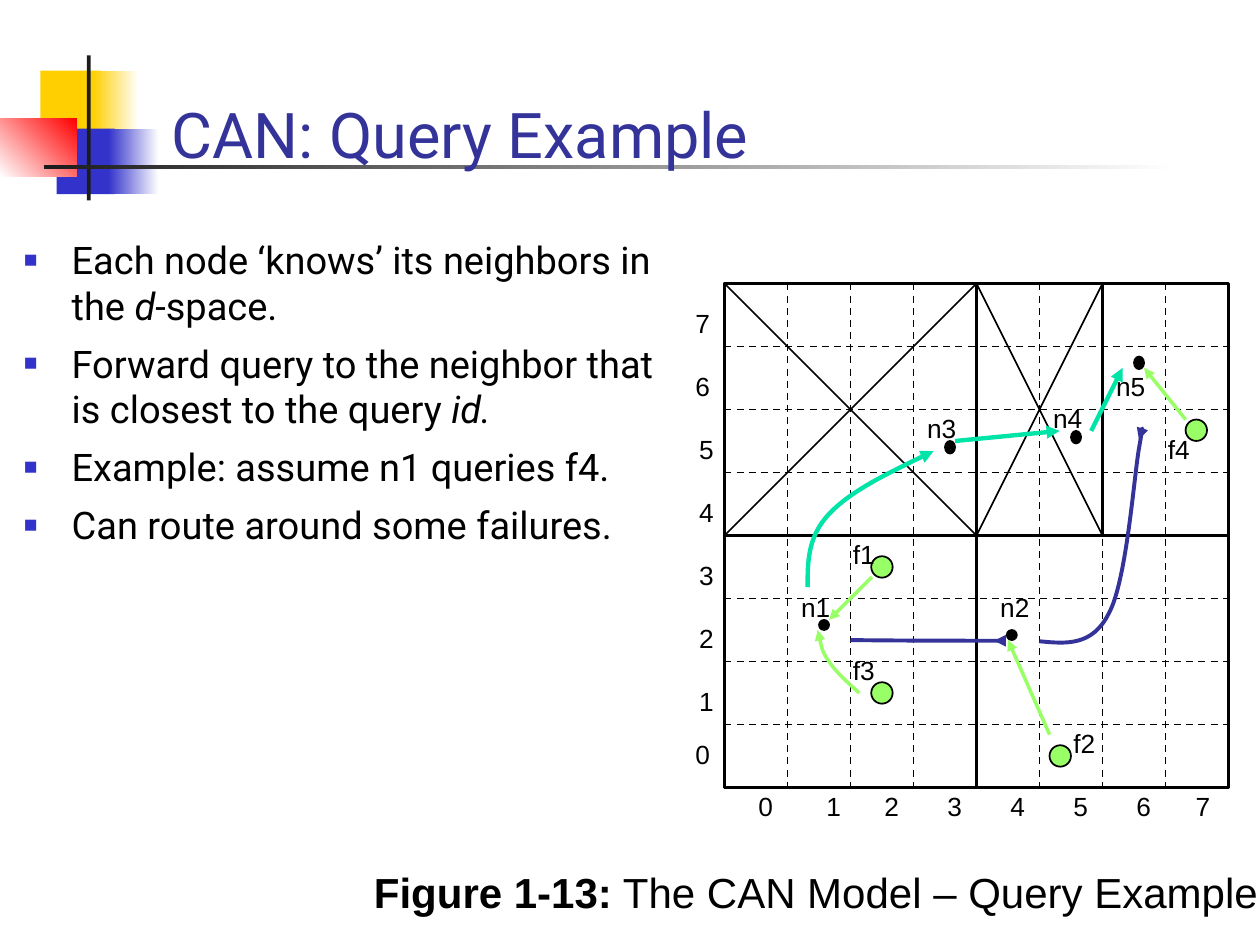
import pptx
import pptx.util
import pptx.dml.color
import pptx.enum.dml
import pptx.enum.shapes
import pptx.enum.text
import pptx.oxml.ns
import lxml.etree

COLORS = {"black": "000000", "ink": "1C1C1C", "white": "FFFFFF", "yellow": "FFCF01",
          "blue": "3333CC", "red": "FF0000", "navy": "333399", "lime": "99FF66",
          "teal": "00E4A8"}
SHAPES = pptx.enum.shapes.MSO_SHAPE
qn = pptx.oxml.ns.qn
N = 8  # cells along each side of the d-space


def inch(value):
    return pptx.util.Inches(value)


def rgb(name):
    return pptx.dml.color.RGBColor.from_string(COLORS[name])


def sub(parent, tag, **attrs):
    return lxml.etree.SubElement(parent, qn(tag), attrs)


def add_text(p, text, size=15, font="Arial", color="black", bold=False, italic=False):
    r = p.add_run()
    r.text = text
    r.font.size, r.font.name = pptx.util.Pt(size), font
    r.font.bold, r.font.italic = bold, italic
    r.font.color.rgb = rgb(color)


def add_box(s, x, y, w, h, wrap=False):
    tf = s.shapes.add_textbox(inch(x), inch(y), inch(w), inch(h)).text_frame
    tf.word_wrap = wrap
    if not wrap:
        tf.auto_size = pptx.enum.text.MSO_AUTO_SIZE.SHAPE_TO_FIT_TEXT
    return tf


def style_line(sp, color="black", width=1.0, dash=False, arrow=False):
    sp.line.color.rgb = rgb(color)
    sp.line.width = pptx.util.Pt(width)
    if dash:
        sp.line.dash_style = pptx.enum.dml.MSO_LINE.DASH
    if arrow:
        sub(sp.element.spPr.find(qn("a:ln")), "a:tailEnd", type="triangle")


def add_shape(s, kind, x, y, w, h, fill=None, line=None):
    """fill is a colour, a (from, to, angle) gradient or None; line is a width."""
    sp = s.shapes.add_shape(kind, inch(x), inch(y), inch(w), inch(h))
    sp.shadow.inherit = False
    if isinstance(fill, tuple):
        sp.fill.gradient()
        sp.fill.gradient_angle = fill[2]
        for stop, name in zip(sp.fill.gradient_stops, fill):
            stop.color.rgb = rgb(name)
    elif fill:
        sp.fill.solid()
        sp.fill.fore_color.rgb = rgb(fill)
    else:
        sp.fill.background()
    if line:
        style_line(sp, width=line)
    else:
        sp.line.fill.background()
    return sp


def add_line(s, start, end, rects=(), **fmt):
    """Draw a connector, joined to any of rects whose side middle it meets."""
    ends = [tuple(inch(v) for v in point) for point in (start, end)]
    cx = s.shapes.add_connector(pptx.enum.shapes.MSO_CONNECTOR.STRAIGHT, *ends[0], *ends[1])
    style_line(cx, **fmt)
    sub(cx.element.spPr, "a:effectLst")
    for rect in rects:
        l, t, w, h = rect.left, rect.top, rect.width, rect.height
        sides = [(l + w // 2, t), (l, t + h // 2), (l + w // 2, t + h), (l + w, t + h // 2)]
        for point, join in zip(ends, (cx.begin_connect, cx.end_connect)):
            if point in sides:
                join(rect, sides.index(point))


def add_curve(s, points, **fmt):
    """Draw Bezier segments: a start, then two controls and an end for each."""
    pts = [tuple(inch(v) for v in point) for point in points]
    builder = s.shapes.build_freeform(*pts[0], scale=1.0)
    builder.add_line_segments(pts[1:], close=False)
    sp = builder.convert_to_shape()
    sp.shadow.inherit = False
    sp.fill.background()
    style_line(sp, **fmt)
    route = sp.element.spPr.find(".//" + qn("a:path"))
    steps = route.findall(qn("a:lnTo"))
    for i in range(0, len(steps), 3):
        bezier = sub(route, "a:cubicBezTo")
        for step in steps[i:i + 3]:
            bezier.append(step[0])
            route.remove(step)


def draw_emblem(s, x, y):
    blocks = [(0.32, 0.12, 0.48, 0.52, "yellow"),
              (0.74, 0.12, 0.36, 0.52, ("yellow", "white", 0)),
              (0.45, 0.58, 0.46, 0.52, "blue"),
              (0.86, 0.58, 0.4, 0.52, ("blue", "white", 0)),
              (0, 0.5, 0.61, 0.46, ("white", "red", 45)),
              (0.69, 0, 0.03, 1.15, "ink"),
              (0.35, 0.87, 9, 0.03, ("ink", "white", 0))]
    for dx, dy, w, h, fill in blocks:
        add_shape(s, SHAPES.RECTANGLE, x + dx, y + dy, w, h, fill)


def write_title(s, x, y, w, h):
    title = s.shapes.title
    title.element.getparent().append(title.element)  # in front of the emblem
    title.left, title.top, title.width, title.height = map(inch, (x, y, w, h))
    title.text_frame.vertical_anchor = pptx.enum.text.MSO_ANCHOR.BOTTOM
    p = title.text_frame.paragraphs[0]
    p.alignment = pptx.enum.text.PP_ALIGN.LEFT
    add_text(p, "CAN: Query Example", size=36, font="Roboto", color="navy")


def write_bullets(s, x, y, w, h):
    # Every second part of a bullet is italic.
    bullets = [["Each node ‘knows’ its neighbors in the ", "d", "-space."],
               ["Forward query to the neighbor that is closest to the query ", "id."],
               ["Example: assume n1 queries f4."],
               ["Can route around some failures."]]
    tf = add_box(s, x, y, w, h, wrap=True)
    for i, parts in enumerate(bullets):
        p = tf.add_paragraph() if i else tf.paragraphs[0]
        p.space_before = pptx.util.Pt(7)
        pPr = p._p.get_or_add_pPr()
        pPr.set("marL", str(inch(0.38)))
        pPr.set("indent", str(-inch(0.38)))
        sub(sub(pPr, "a:buClr"), "a:srgbClr", val=COLORS["blue"])
        sub(pPr, "a:buSzPct", val="60000")
        sub(pPr, "a:buFont", typeface="Arial")
        sub(pPr, "a:buChar", char="■")
        for j, part in enumerate(parts):
            add_text(p, part, size=21.7, font="Roboto", italic=j % 2 == 1)


def draw_space(s, x, y, size):
    """Draw the d-space; all places below are (column, row) from its top left."""
    cell = size / N

    def at(c, r):
        return x + c * cell, y + r * cell

    def label(text, c, r, w):
        add_text(add_box(s, *at(c, r), w, 0.35).paragraphs[0], text)

    def dot(c, r, w, h, fill):
        left, top = at(c, r)
        add_shape(s, SHAPES.OVAL, left - w / 2, top - h / 2, w, h, fill, line=1)

    zones = [(0, 0, 8, 8), (0, 4, 4, 4), (4, 4, 4, 4), (0, 0, 4, 4), (4, 0, 2, 4)]
    rects = [add_shape(s, SHAPES.RECTANGLE, *at(c, r), w * cell, h * cell, line=2)
             for c, r, w, h in zones]
    for i in range(1, N):
        add_line(s, at(i, 0), at(i, N), rects, dash=True)
        add_line(s, at(0, i), at(N, i), rects, dash=True)
    for c, r, w, h in zones[3:]:
        add_line(s, at(c, r), at(c + w, r + h))
        add_line(s, at(c, r + h), at(c + w, r))

    columns = [0.34, 1.42, 2.34, 3.34, 4.34, 5.34, 6.34, 7.28]
    rows = [7.12] + [N - 0.72 - i for i in range(1, N)]
    for i in range(N):
        label(str(i), columns[i], 7.94, 0.31)
        label(str(i), -0.66 if i in (0, 6, 7) else -0.6, rows[i], 0.31)

    # Dot centre, label corner
    nodes = {"n1": (1.58, 5.42, 1.02, 4.78), "n2": (4.56, 5.58, 4.18, 4.78),
             "n3": (3.58, 2.6, 3.02, 1.94), "n4": (5.58, 2.44, 5.02, 1.78),
             "n5": (6.58, 1.26, 6.02, 1.28)}
    files = {"f1": (2.5, 4.5, 1.84, 3.94), "f2": (5.33, 7.5, 5.34, 6.94),
             "f3": (2.5, 6.5, 1.84, 5.78), "f4": (7.49, 2.33, 6.84, 2.28)}
    for name, (c, r, lc, lr) in nodes.items():
        dot(c, r, 0.08, 0.08 if name in ("n1", "n2") else 0.1, "black")
        label(name, lc, lr, 0.43)
    for name, (c, r, lc, lr) in files.items():
        dot(c, r, 0.17, 0.17, "lime")
        label(name, lc, lr, 0.38)

    arrows = [("lime", 2, [(2.14, 6.5), (1.96, 6.34), (1.76, 6.16), (1.66, 6),
                           (1.54, 5.84), (1.52, 5.66), (1.48, 5.5)]),
              ("lime", 2, [(2.34, 4.66), (2.34, 4.66), (2, 5), (1.66, 5.34)]),
              ("lime", 2, [(5.16, 7.16), (4.5, 5.66)]),
              ("lime", 2, [(7.32, 2.16), (6.66, 1.34)]),
              ("teal", 2.5, [(1.32, 4.82), (1.32, 4.42), (1.32, 4.02), (1.66, 3.66),
                             (2, 3.3), (2.66, 2.98), (3.32, 2.66)]),
              ("teal", 2.5, [(3.66, 2.5), (5.32, 2.34)]),
              ("teal", 2.5, [(5.82, 2.34), (6.32, 1.34)]),
              ("navy", 2.25, [(2, 5.66), (2.86, 5.67), (3.74, 5.67), (4.12, 5.67),
                              (4.5, 5.67), (4.38, 5.67), (4.28, 5.67)]),
              ("navy", 2.25, [(5, 5.68), (5.42, 5.72), (5.84, 5.76), (6.1, 5.24),
                              (6.38, 4.74), (6.5, 3.08), (6.58, 2.62),
                              (6.66, 2.16), (6.62, 2.32), (6.58, 2.48)])]
    for color, width, points in arrows:
        places = [at(*point) for point in points]
        draw = add_curve if len(places) > 2 else None
        fmt = dict(color=color, width=width, arrow=True)
        if draw:
            draw(s, places, **fmt)
        else:
            add_line(s, *places, **fmt)


def write_caption(s, x, y, w, h):
    p = add_box(s, x, y, w, h, wrap=True).paragraphs[0]
    p.space_before = pptx.util.Pt(6)
    add_text(p, "Figure 1-13:", size=24, bold=True)
    add_text(p, " The CAN Model – Query Example", size=24)


def main():
    prs = pptx.Presentation()
    prs.slide_width, prs.slide_height = inch(10), inch(7.5)
    s = prs.slides.add_slide(prs.slide_layouts[5])
    draw_emblem(s, 0, 0.44)
    write_title(s, 1.26, 0.49, 8.52, 0.92)
    write_bullets(s, 0.09, 1.83, 5.25, 3.58)
    draw_space(s, 5.75, 2.25, 4)
    write_caption(s, 2.87, 6.83, 7.76, 0.69)
    prs.save("out.pptx")


if __name__ == "__main__":
    main()
